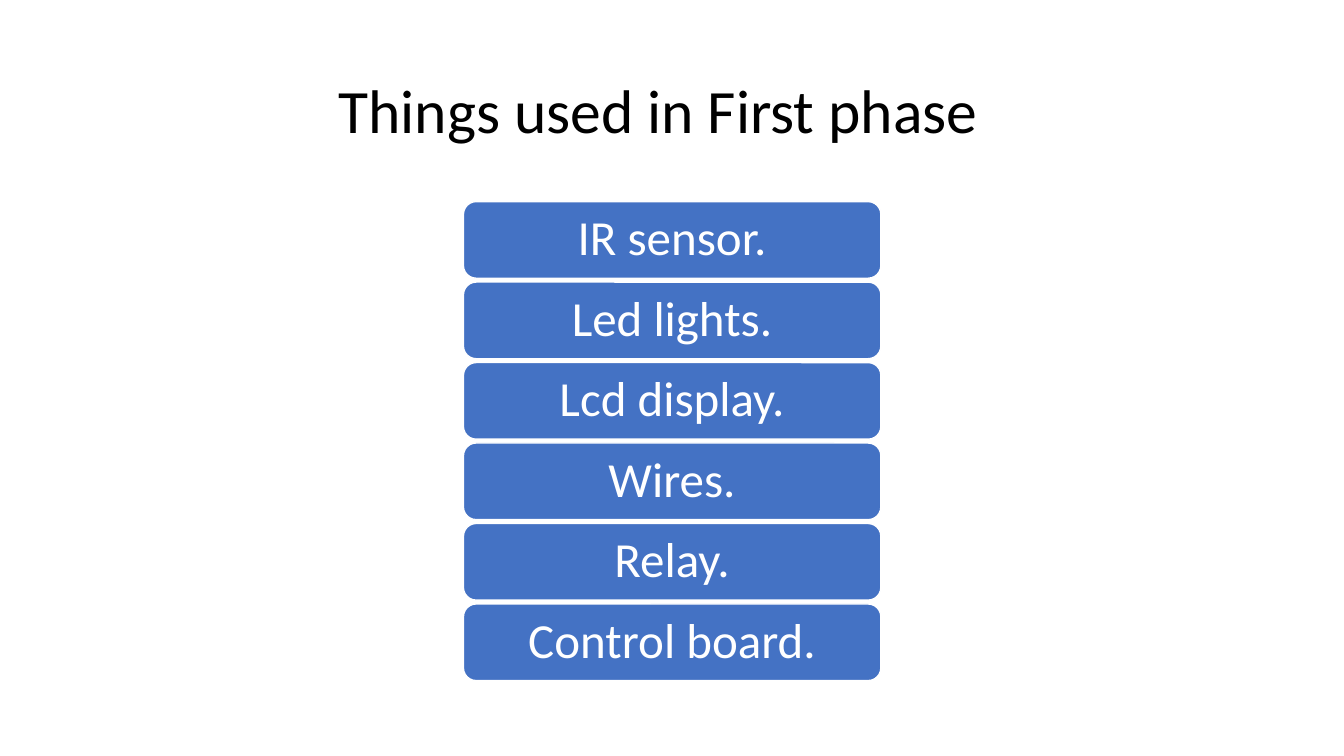
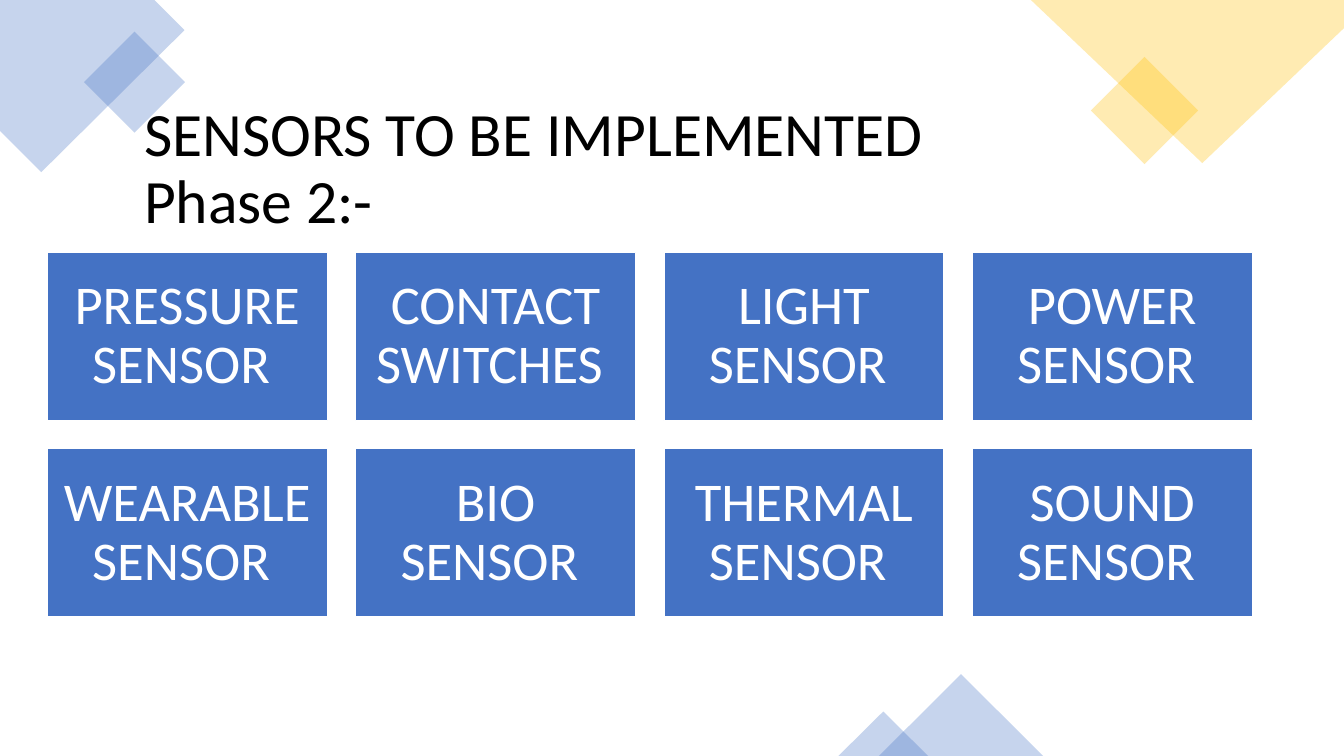
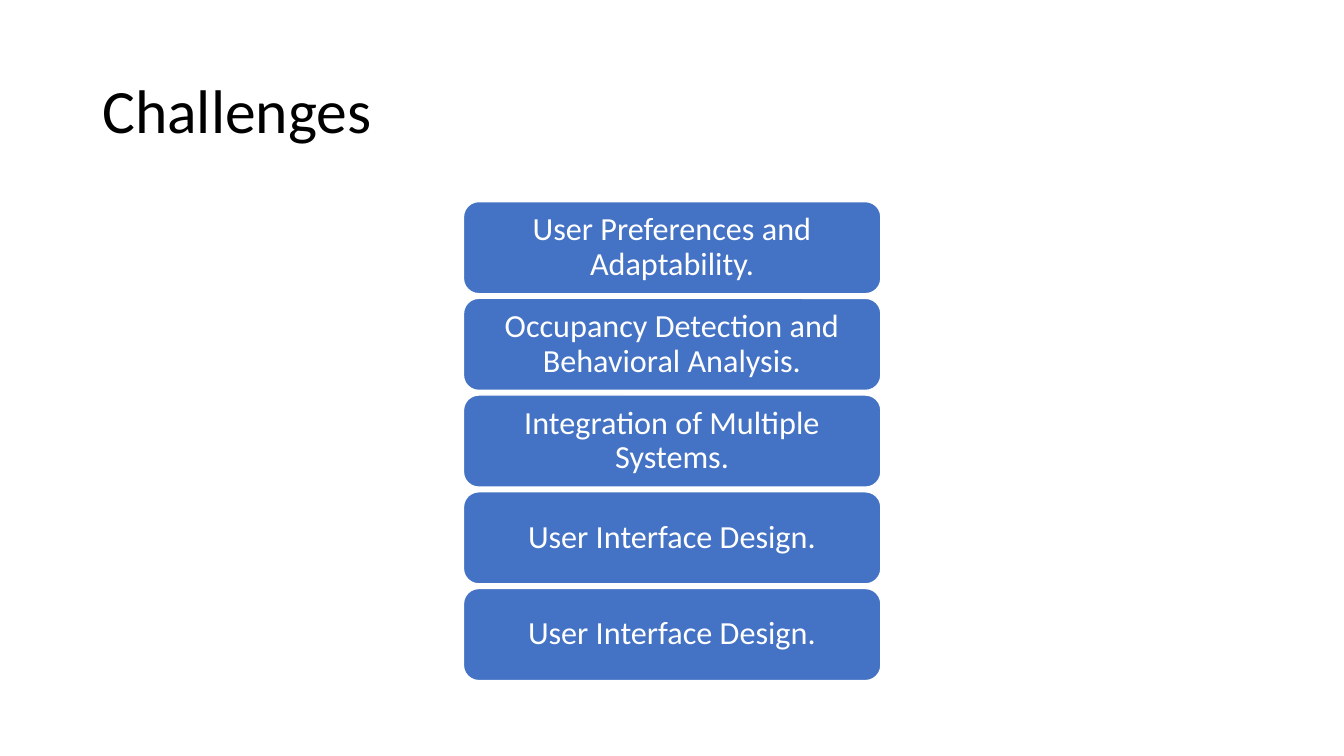
"""Build three slides on the parts, sensors and challenges of a smart home project."""
from lxml.etree import SubElement
from pptx import Presentation
from pptx.dml.color import RGBColor
from pptx.enum.shapes import MSO_SHAPE
from pptx.enum.text import MSO_ANCHOR, PP_ALIGN
from pptx.oxml.ns import qn
from pptx.util import Cm, Pt

COLORS = {"blue": "4472C4", "gold": "FFC000", "white": "FFFFFF", "black": "000000"}
TITLE = {"size": 44, "color": "black", "align": PP_ALIGN.LEFT, "inset": (0.25, 0.13)}
CARD = {"color": "white", "align": PP_ALIGN.CENTER}


def write(sp, text, fmt):
    tf = sp.text_frame
    x, y = (Cm(v) for v in fmt["inset"])
    frame = {"word_wrap": True, "vertical_anchor": MSO_ANCHOR.MIDDLE,
             "margin_left": x, "margin_right": x, "margin_top": y, "margin_bottom": y}
    for name, value in frame.items():
        setattr(tf, name, value)
    p = tf.paragraphs[0]
    p.text = text
    for name, value in {"alignment": fmt["align"], "line_spacing": 0.9}.items():
        setattr(p, name, value)
    for r in p.runs:
        for name, value in {"name": "Calibri", "size": Pt(fmt["size"])}.items():
            setattr(r.font, name, value)
        r.font.color.rgb = RGBColor.from_string(COLORS[fmt["color"]])


def paint(sp, color, alpha=None):
    sp.shadow.inherit = False
    sp.fill.solid()
    sp.fill.fore_color.rgb = RGBColor.from_string(COLORS[color])
    if alpha:
        sp.line.fill.background()
        clr = next(sp._element.spPr.iter(qn("a:srgbClr")))
        SubElement(clr, qn("a:alpha")).set("val", str(alpha * 1000))
    else:
        sp.line.width = Pt(1)
        sp.line.color.rgb = RGBColor.from_string(COLORS["white"])


prs = Presentation()
prs.slide_width, prs.slide_height = Cm(33.87), Cm(19.05)
slides = [prs.slides.add_slide(prs.slide_layouts[6]) for _ in range(3)]
parts, sensors, challenges = slides

corners = [
    ("blue", [(3.89, 0), (0, 0), (0, 3.3), (1.04, 4.34), (4.65, 0.76)]),
    ("gold", [(33.87, 0), (25.98, 0), (30.3, 4.11), (33.87, 0.71)]),
]
for color, points in corners:
    points = [(Cm(x), Cm(y)) for x, y in points]
    fb = sensors.shapes.build_freeform(*points[0])
    fb.add_line_segments(points[1:], close=True)
    paint(fb.convert_to_shape(), color, 30)

accents = [
    (MSO_SHAPE.RECTANGLE, "blue", 315, (2.49, 1.17, 1.8, 1.8)),
    (MSO_SHAPE.RECTANGLE, "gold", 315, (27.89, 1.83, 1.91, 1.91)),
    (MSO_SHAPE.ISOSCELES_TRIANGLE, "blue", 0, (22.15, 16.99, 4.14, 2.06)),
    (MSO_SHAPE.ISOSCELES_TRIANGLE, "blue", 0, (21.13, 17.93, 2.26, 1.12)),
]
for kind, color, angle, box in accents:
    sp = sensors.shapes.add_shape(kind, *map(Cm, box))
    sp.rotation = angle
    paint(sp, color, 30)

titles = [
    ("Things used in First phase", 2.33, 1.01, 6.2),
    ("SENSORS TO BE IMPLEMENTED\vPhase 2:-", 3.38, 2.44, 0.25),
    ("Challenges", 2.33, 1.01, 0.25),
]
for s, (text, x, y, indent) in zip(slides, titles):
    sp = s.shapes.add_textbox(Cm(x), Cm(y), Cm(29.21), Cm(3.68))
    write(sp, text, TITLE)
    sp.text_frame.margin_left = Cm(indent)

stacks = [
    (parts, 35, (0.38, 0.18),
     ["IR sensor.", "Led lights.", "Lcd display.", "Wires.", "Relay.", "Control board."]),
    (challenges, 23, (0.25, 0.13),
     ["User Preferences and Adaptability.",
      "Occupancy Detection and Behavioral Analysis.",
      "Integration of Multiple Systems.",
      "User Interface Design.", "User Interface Design."]),
]
for s, size, inset, items in stacks:
    n = len(items)
    height = 12.07 / (n + 0.05 * (n - 1))
    for i, text in enumerate(items):
        sp = s.shapes.add_shape(MSO_SHAPE.ROUNDED_RECTANGLE, Cm(11.68),
                                Cm(5.08 + i * height * 1.05), Cm(10.52), Cm(height))
        paint(sp, "blue")
        write(sp, text, {**CARD, "size": size, "inset": inset})

names = ["PRESSURE SENSOR ", "CONTACT SWITCHES ", "LIGHT SENSOR ", "POWER SENSOR ",
         "WEARABLE SENSOR ", "BIO SENSOR ", "THERMAL SENSOR ", "SOUND SENSOR "]
width, height, gap = 7.06, 4.24, 0.71
for i, text in enumerate(names):
    row, col = divmod(i, 4)
    sp = sensors.shapes.add_shape(MSO_SHAPE.RECTANGLE, Cm(1.19 + col * (width + gap)),
                                  Cm(6.36 + row * (height + gap)), Cm(width), Cm(height))
    paint(sp, "blue")
    write(sp, text, {**CARD, "size": 39, "inset": (0.4, 0.4)})

prs.save("out.pptx")
